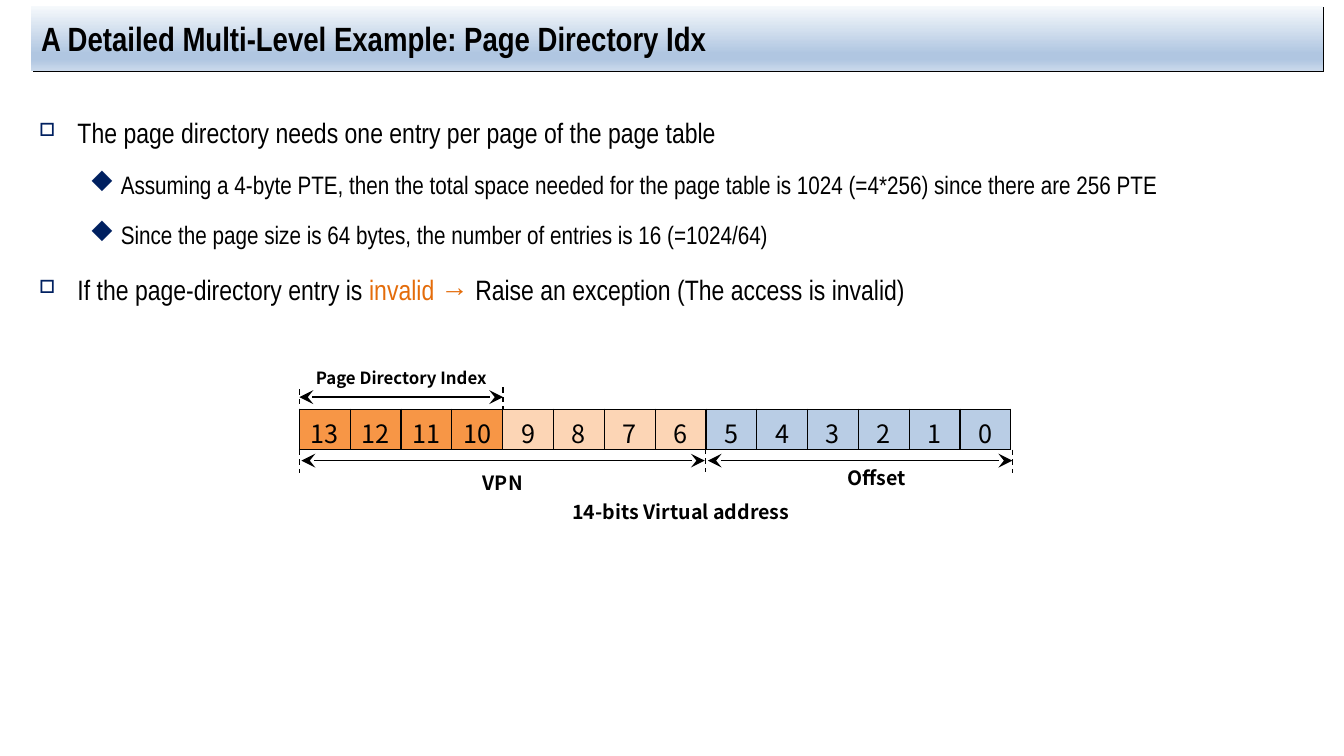
from pptx import Presentation
from pptx import util as u
from pptx.dml.color import RGBColor
from pptx.enum import dml, shapes, text
from pptx.oxml import parse_xml
from pptx.oxml.ns import nsdecls

Inches, Pt = u.Inches, u.Pt
LATIN, NOTO = "Arial Narrow", "Noto Sans CJK KR"
BLACK, NAVY, ORANGE = "000000", "002060", "E46C0A"
CENTER, LEFT = text.PP_ALIGN.CENTER, text.PP_ALIGN.LEFT


def add_xml(parent, tag, attributes="", inner=""):
    parent.append(parse_xml(f"<a:{tag} {nsdecls('a')} {attributes}>{inner}</a:{tag}>"))


def write(paragraph, words, color=BLACK, **font_format):
    run = paragraph.add_run()
    run.text = words
    run.font.color.rgb = RGBColor.from_string(color)
    for attribute, value in font_format.items():
        setattr(run.font, attribute, value)


prs = Presentation()
prs.slide_width, prs.slide_height = Inches(13.33), Inches(7.5)
slide = prs.slides.add_slide(prs.slide_layouts[6])

# Title bar with gradient and hard shadow
title = slide.shapes.add_shape(shapes.MSO_SHAPE.RECTANGLE, Inches(0.31), Inches(0.06),
                               Inches(12.81), Inches(0.64))
title.line.fill.background()
stops = [(0, "F6F9FC"), (74, "B0C6E1"), (83, "B0C6E1"), (100, "CAD9EB")]
stop_xml = "".join(f'<a:gs pos="{place * 1000}"><a:srgbClr val="{color}"/></a:gs>'
                   for place, color in stops)
title.fill.gradient()
title.fill.gradient_angle = 270
stop_list = title.fill._fill._gradFill.gsLst
for old_stop in list(stop_list):
    stop_list.remove(old_stop)
for stop in parse_xml(f"<a:gsLst {nsdecls('a')}>{stop_xml}</a:gsLst>"):
    stop_list.append(stop)
add_xml(title._element.spPr, "effectLst", inner=(
    f'<a:outerShdw dist="{Pt(1.4)}" dir="2700000" algn="ctr" rotWithShape="0">'
    f'<a:srgbClr val="{BLACK}"/></a:outerShdw>'))
title.text_frame.vertical_anchor = text.MSO_ANCHOR.MIDDLE
heading = title.text_frame.paragraphs[0]
heading.alignment = LEFT
write(heading, "A Detailed Multi-Level Example: Page Directory Idx",
      size=Pt(24), name=LATIN, bold=True)

# Bulleted explanation: indent, hanging, size, Wingdings bullet (o square, u diamond), bullet size
levels = [(0.38, 0.38, 20, "o", 65), (0.81, 0.31, 18, "u", 100)]
points = [
    (0, [("The page directory needs one entry per page of the page table", BLACK)]),
    (1, [("Assuming a 4-byte PTE, then the total space needed for the page table is "
          "1024 (=4*256) since there are 256 PTE", BLACK)]),
    (1, [("Since the page size is 64 bytes, the number of entries is 16 (=1024/64)", BLACK)]),
    (0, [("If the page-directory entry is ", BLACK), ("invalid → ", ORANGE),
         ("Raise an exception (The access is invalid)", BLACK)]),
]
body = slide.shapes.add_textbox(Inches(0.29), Inches(0.93), Inches(12.81), Inches(6.02))
body.text_frame.word_wrap = True
for number, (level, parts) in enumerate(points):
    indent, hanging, size, bullet, bullet_size = levels[level]
    point = body.text_frame.add_paragraph() if number else body.text_frame.paragraphs[0]
    point.level = level
    point.line_spacing = 1.5
    point.space_before = Pt(size * 0.2 if number else 0)
    properties = point._p.get_or_add_pPr()
    properties.set("marL", str(Inches(indent)))
    properties.set("indent", str(-Inches(hanging)))
    add_xml(properties, "buClr", inner=f'<a:srgbClr val="{NAVY}"/>')
    add_xml(properties, "buSzPct", f'val="{bullet_size * 1000}"')
    add_xml(properties, "buFont", 'typeface="Wingdings" pitchFamily="2" charset="2"')
    add_xml(properties, "buChar", f'char="{bullet}"')
    for words, color in parts:
        write(point, words, color, size=Pt(size), name=LATIN)

# Address bits 13 to 0
bit_colors = ["F79646"] * 4 + ["FCD5B5"] * 4 + ["B9CDE5"] * 6
bit_count = len(bit_colors)
address_frame = slide.shapes.add_table(1, bit_count, Inches(2.97), Inches(4.06),
                                       Inches(7.06), Inches(0.4))
address = address_frame.table
address.first_row = address.horz_banding = False
cell_format = {"margin_left": 0, "margin_right": 0, "margin_top": Inches(0.05),
               "margin_bottom": 0}
for place, color in enumerate(bit_colors):
    address.columns[place].width = Inches(7.06 / bit_count)
    bit = address.cell(0, place)
    for attribute, value in cell_format.items():
        setattr(bit, attribute, value)
    for side in ("lnL", "lnR", "lnT", "lnB"):
        add_xml(bit._tc.get_or_add_tcPr(), side, f'w="{Pt(1)}"',
                f'<a:solidFill><a:srgbClr val="{BLACK}"/></a:solidFill>')
    bit.fill.solid()
    bit.fill.fore_color.rgb = RGBColor.from_string(color)
    bit.text_frame.paragraphs[0].alignment = CENTER
    write(bit.text_frame.paragraphs[0], str(bit_count - 1 - place), size=Pt(18), name=NOTO)

# Field labels: left, top, width, height, size, alignment, wrap
labels = [
    ("14-bits Virtual address", 4.51, 4.91, 4.49, 0.34, 14, CENTER, True),
    ("VPN", 4.69, 4.62, 0.61, 0.34, 14, LEFT, False),
    ("Offset", 8.31, 4.57, 0.78, 0.34, 14, LEFT, False),
    ("Page Directory Index", 3.03, 3.6, 1.9, 0.3, 12, CENTER, False),
]
for words, left, top, width, height, size, alignment, wrap in labels:
    label = slide.shapes.add_textbox(Inches(left), Inches(top), Inches(width), Inches(height))
    label.text_frame.word_wrap = wrap
    label.text_frame.paragraphs[0].alignment = alignment
    write(label.text_frame.paragraphs[0], words, size=Pt(size), name=NOTO, bold=True)

# Dashed field limits and two-headed field spans
limits = [(x, top, x, top + 0.23) for x, top in
          [(2.97, 4.46), (7, 4.45), (10.04, 4.46), (2.97, 3.86), (4.99, 3.84)]]
spans = [(2.99, 4.57, 6.99, 4.57), (7.02, 4.57, 10.04, 4.57), (2.97, 3.94, 4.99, 3.94)]
for ends in limits + spans:
    marker = slide.shapes.add_connector(shapes.MSO_CONNECTOR.STRAIGHT,
                                        *[Inches(end) for end in ends])
    marker.line.width = Pt(1)
    marker.line.color.rgb = RGBColor.from_string(BLACK)
    if ends in limits:
        marker.line.dash_style = dml.MSO_LINE.DASH
    else:
        for arrow_end in ("headEnd", "tailEnd"):
            add_xml(marker.line._get_or_add_ln(), arrow_end, 'type="stealth" w="lg" len="lg"')
    add_xml(marker._element.spPr, "effectLst")

prs.save("out.pptx")
